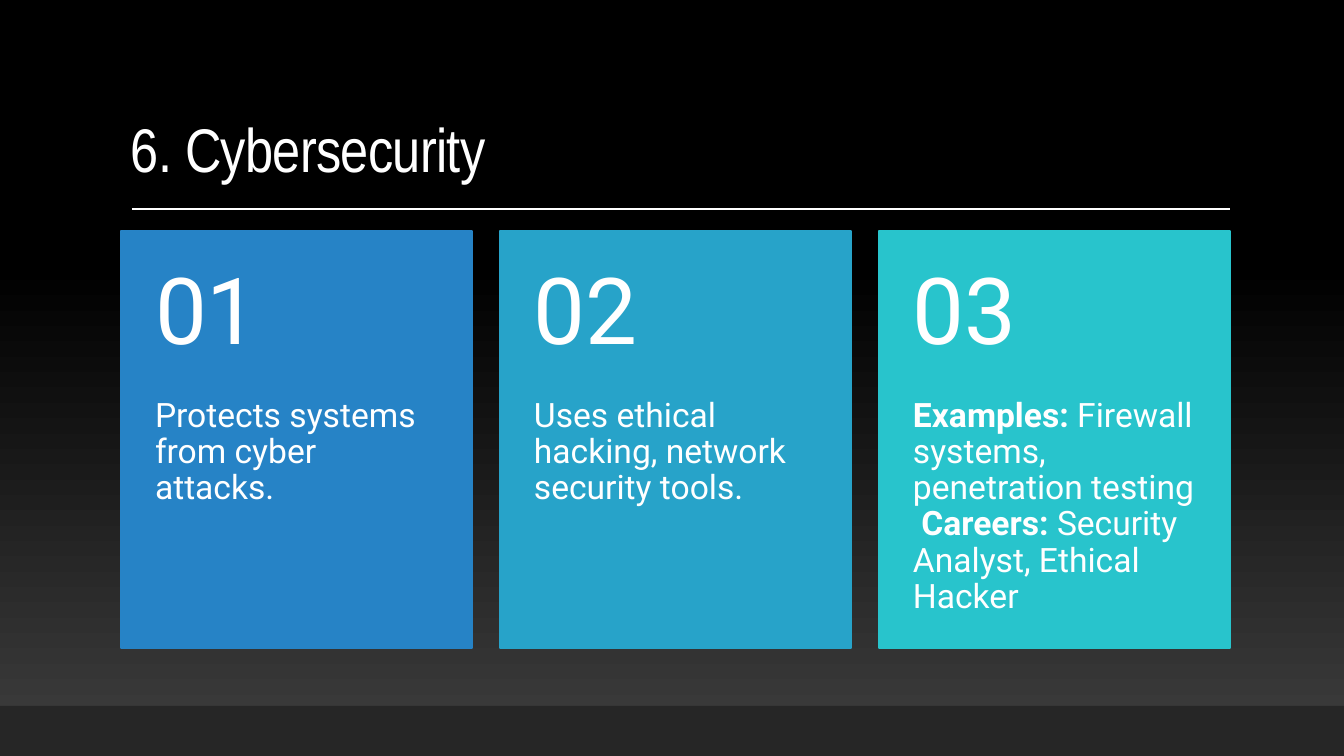
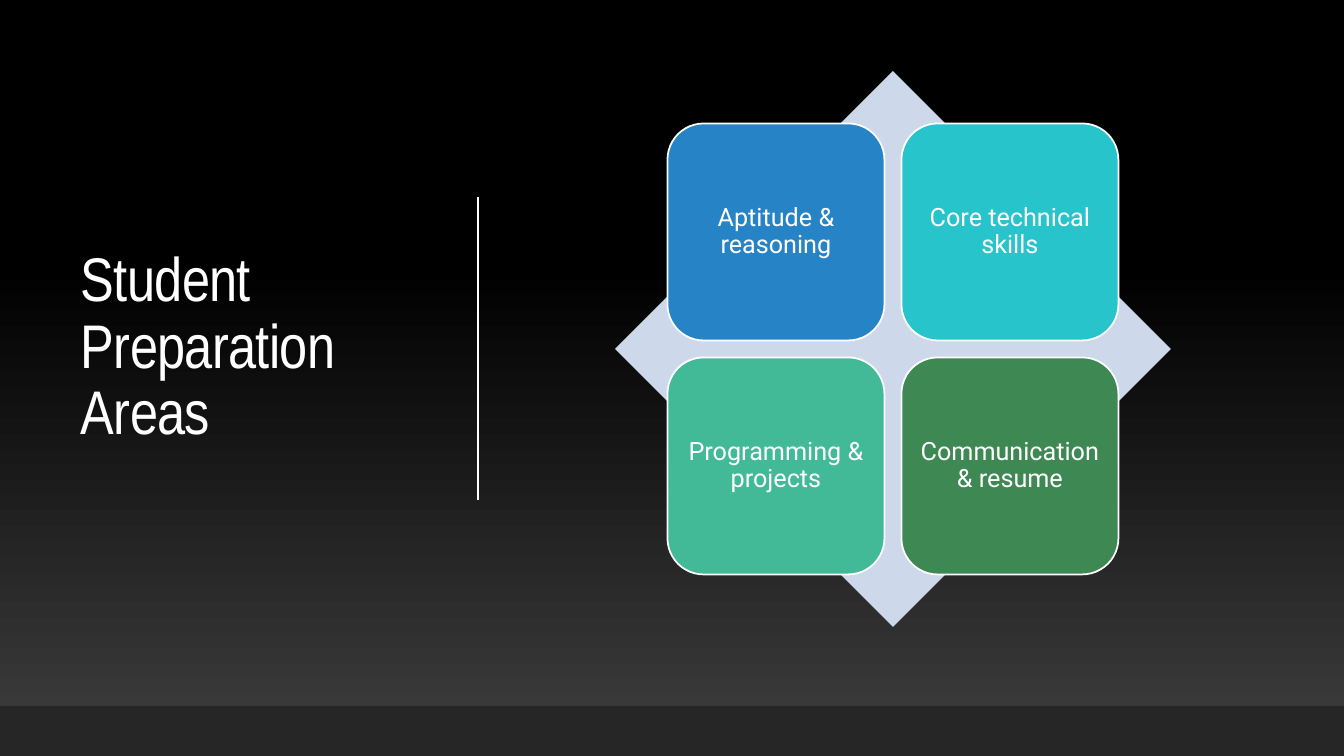
"""Build two dark slides: numbered cybersecurity cards and a preparation matrix."""
from dataclasses import dataclass

from lxml import etree
from pptx import Presentation
from pptx.dml.color import RGBColor
from pptx.enum.shapes import MSO_CONNECTOR, MSO_SHAPE
from pptx.enum.text import MSO_ANCHOR, PP_ALIGN
from pptx.oxml.ns import qn
from pptx.util import Emu, Pt

RECT, DIAMOND, ROUNDED = MSO_SHAPE.RECTANGLE, MSO_SHAPE.DIAMOND, MSO_SHAPE.ROUNDED_RECTANGLE
STRAIGHT = MSO_CONNECTOR.STRAIGHT
TOP, MIDDLE, BOTTOM = MSO_ANCHOR.TOP, MSO_ANCHOR.MIDDLE, MSO_ANCHOR.BOTTOM
LEFT, CENTER = PP_ALIGN.LEFT, PP_ALIGN.CENTER


@dataclass(frozen=True)
class Theme:
    """Colours, fonts and type sizes of the deck."""
    white: str = "FFFFFF"
    black: str = "000000"
    glow: str = "3F3F3F"
    footer: str = "262626"
    blue: str = "2683C6"
    sky: str = "27A3C9"
    teal: str = "28C4CC"
    mint: str = "42BA97"
    green: str = "3E8853"
    pale: str = "CDD9EA"
    title_font: str = "Arial Narrow"
    body_font: str = "Roboto"
    title_size: int = 44
    number_size: int = 66
    card_size: int = 24
    tile_size: int = 18
    title_tracking: int = -50
    rule_width: float = 1
    outline_width: float = 1.25
    line_spacing: float = 0.9


THEME = Theme()
SLIDE_WIDTH, SLIDE_HEIGHT, FOOTER_HEIGHT = 1344, 756, 50
TITLE_INSETS = (10, 5, 10, 5)

CARDS_TITLE = "6. Cybersecurity"
CARDS = [
    (THEME.blue, [[("Protects systems from cyber attacks.", False)]]),
    (THEME.sky, [[("Uses ethical hacking, network security tools.", False)]]),
    (THEME.teal, [
        [("Examples:", True), (" Firewall systems, penetration testing", False)],
        [(" ", False), ("Careers:", True), (" Security Analyst, Ethical Hacker", False)],
    ]),
]

MATRIX_TITLE = "Student Preparation Areas"
TILES = [
    (THEME.blue, "Aptitude & reasoning"),
    (THEME.teal, "Core technical skills"),
    (THEME.mint, "Programming & projects"),
    (THEME.green, "Communication & resume"),
]


def px(length):
    return Emu(round(length * 914400 / 100.8))


def color(code):
    return RGBColor.from_string(code)


def write(box, lines, size, anchor, insets, align=LEFT, font=THEME.body_font, tracking=0):
    frame = box.text_frame
    frame.word_wrap = True
    frame.vertical_anchor = anchor
    (frame.margin_left, frame.margin_top,
     frame.margin_right, frame.margin_bottom) = map(px, insets)
    para = frame.paragraphs[0]
    para.alignment = align
    para.line_spacing = THEME.line_spacing
    for index, line in enumerate(lines):
        if index:
            para.add_line_break()
        for text, bold in line:
            span = para.add_run()
            span.text = text
            span.font.name = font
            span.font.size = Pt(size)
            span.font.bold = bold
            span.font.color.rgb = color(THEME.white)
            if tracking:
                span.font._element.set("spc", str(tracking))


def add_text(page, bounds, lines, size, anchor, insets, **style):
    box = page.shapes.add_textbox(*map(px, bounds))
    write(box, lines, size, anchor, insets, **style)


def add_block(page, kind, bounds, fill, outline=None):
    block = page.shapes.add_shape(kind, *map(px, bounds))
    block.shadow.inherit = False
    block.fill.solid()
    block.fill.fore_color.rgb = color(fill)
    if outline:
        block.line.color.rgb = color(outline)
        block.line.width = Pt(THEME.outline_width)
    else:
        block.line.fill.background()
    return block


def add_rule(page, ends):
    rule = page.shapes.add_connector(STRAIGHT, *map(px, ends))
    rule.line.color.rgb = color(THEME.white)
    rule.line.width = Pt(THEME.rule_width)
    etree.SubElement(rule._element.spPr, qn("a:effectLst"))


def add_page(deck, title, title_bounds, title_anchor, rule_ends):
    page = deck.slides.add_slide(deck.slide_layouts[6])
    fill = page.background.fill
    fill.gradient()
    fill.gradient_angle = 90
    stops = ((0, THEME.glow), (0.65, THEME.black))
    for stop, (position, shade) in zip(fill.gradient_stops, stops):
        stop.position = position
        stop.color.rgb = color(shade)
    add_text(page, title_bounds, [[(title, False)]], THEME.title_size, title_anchor,
             TITLE_INSETS, font=THEME.title_font, tracking=THEME.title_tracking)
    add_rule(page, rule_ends)
    add_block(page, RECT, (0, SLIDE_HEIGHT - FOOTER_HEIGHT, SLIDE_WIDTH, FOOTER_HEIGHT),
              THEME.footer)
    return page


def add_cards_page(deck):
    page = add_page(deck, CARDS_TITLE, (121, 31, 1109, 160), BOTTOM, (132, 209, 1230, 209))
    left, top, width, gap = 121, 231, 351, 28
    number_height, body_height = 167, 250
    for index, (fill, lines) in enumerate(CARDS):
        x = left + index * (width + gap)
        add_block(page, RECT, (x, top, width, number_height + body_height), fill, fill)
        add_text(page, (x, top, width, number_height), [[(f"{index + 1:02}", False)]],
                 THEME.number_size, MIDDLE, (34, 18, 34, 18))
        add_text(page, (x, top + number_height, width, body_height), lines,
                 THEME.card_size, TOP, (34, 0, 34, 36))


def add_matrix_page(deck):
    page = add_page(deck, MATRIX_TITLE, (71, 70, 372, 557), MIDDLE, (478, 197, 478, 500))
    center_x, center_y, diamond, tile, gap = 893, 349, 556, 217, 17
    add_block(page, DIAMOND, (center_x - diamond / 2, center_y - diamond / 2, diamond, diamond),
              THEME.pale)
    reach = tile + gap / 2
    for index, (fill, label) in enumerate(TILES):
        row, column = divmod(index, 2)
        x = center_x - reach + column * (tile + gap)
        y = center_y - reach + row * (tile + gap)
        block = add_block(page, ROUNDED, (x, y, tile, tile), fill, THEME.white)
        write(block, [[(label, False)]], THEME.tile_size, MIDDLE, (7, 7, 7, 7), align=CENTER)


def main():
    deck = Presentation()
    deck.slide_width, deck.slide_height = px(SLIDE_WIDTH), px(SLIDE_HEIGHT)
    add_cards_page(deck)
    add_matrix_page(deck)
    deck.save("out.pptx")


if __name__ == "__main__":
    main()
